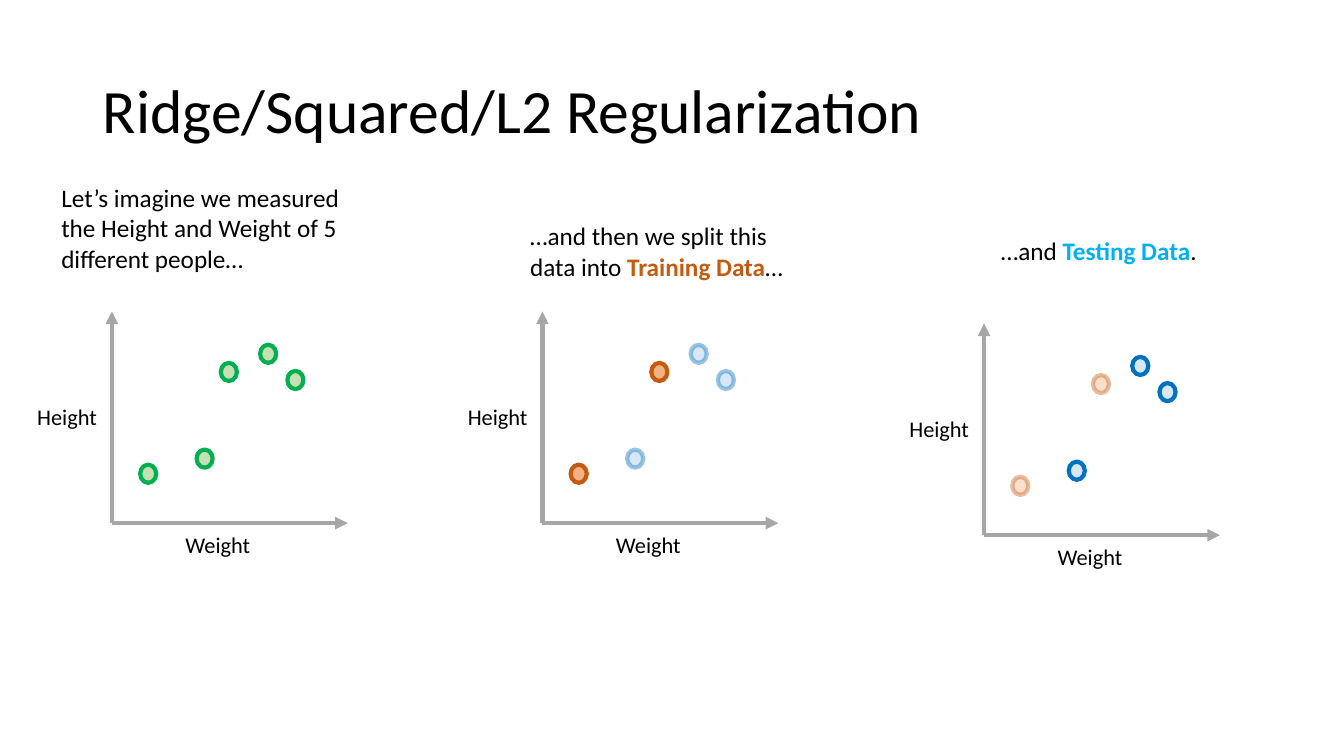
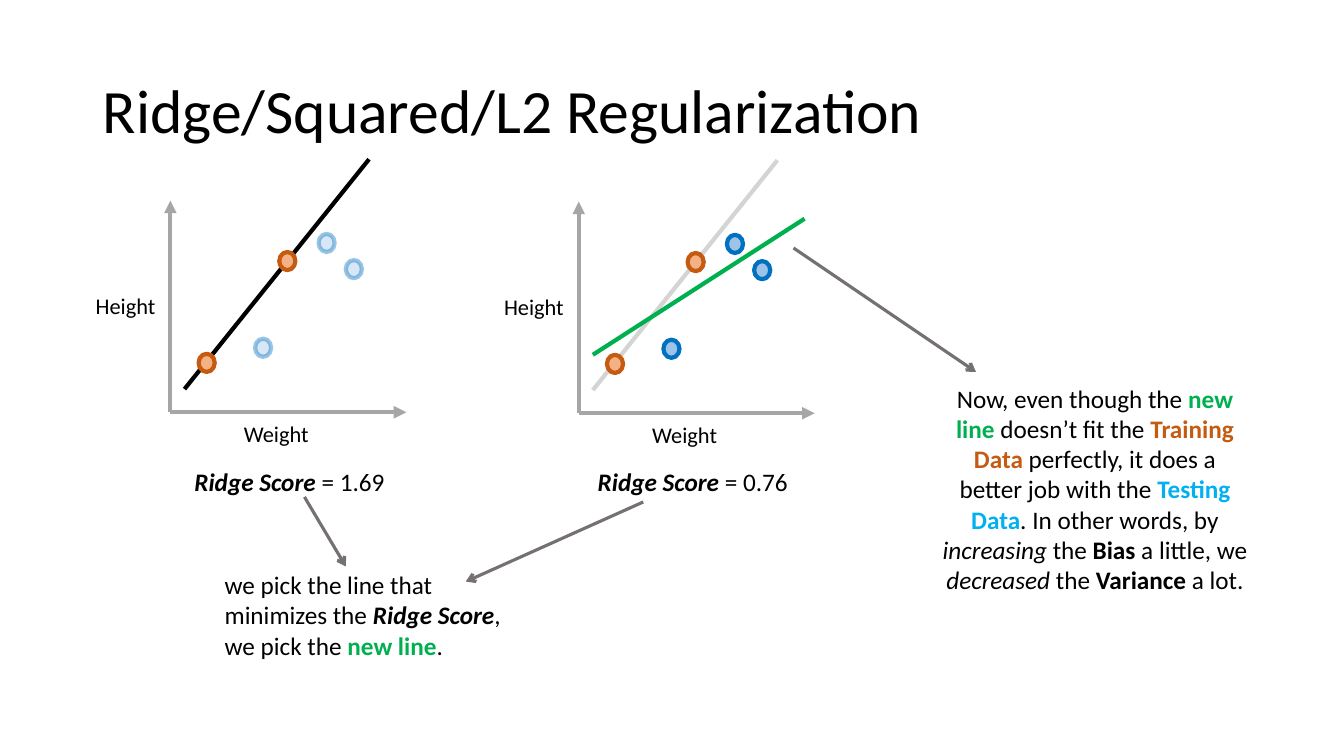
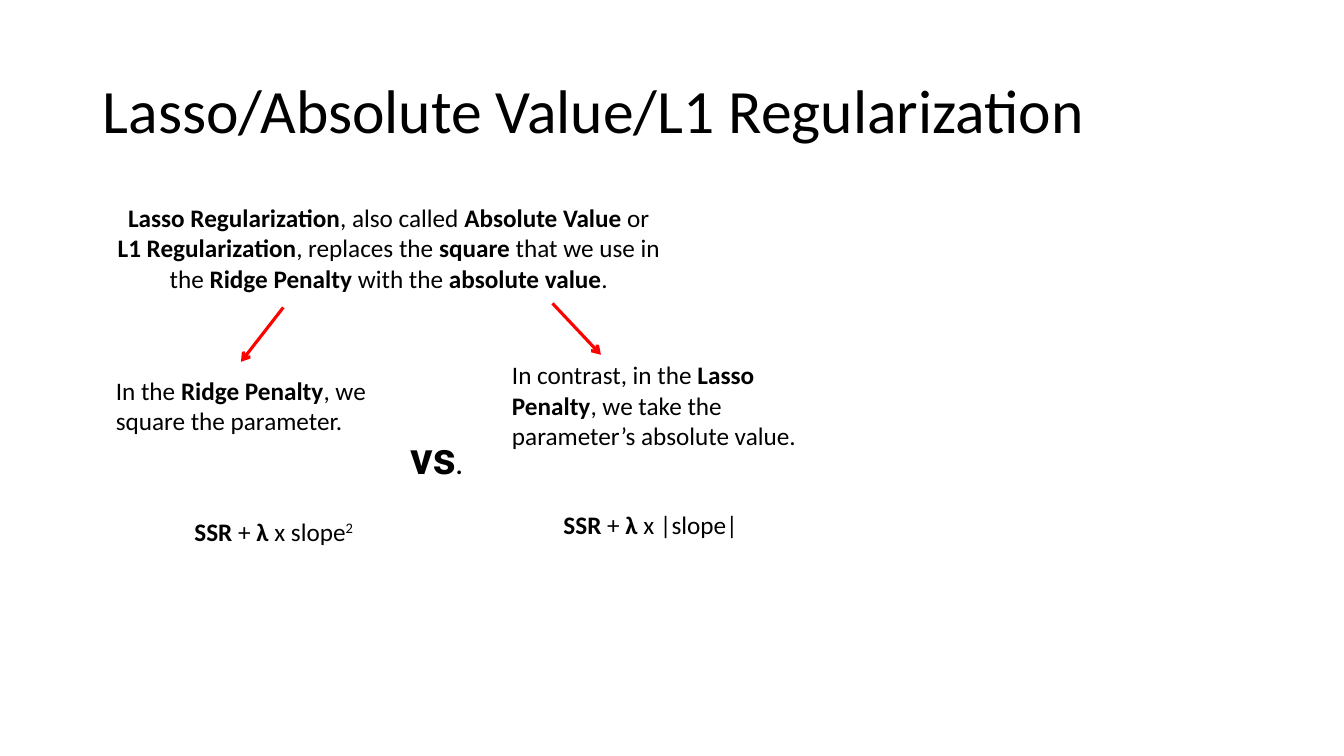
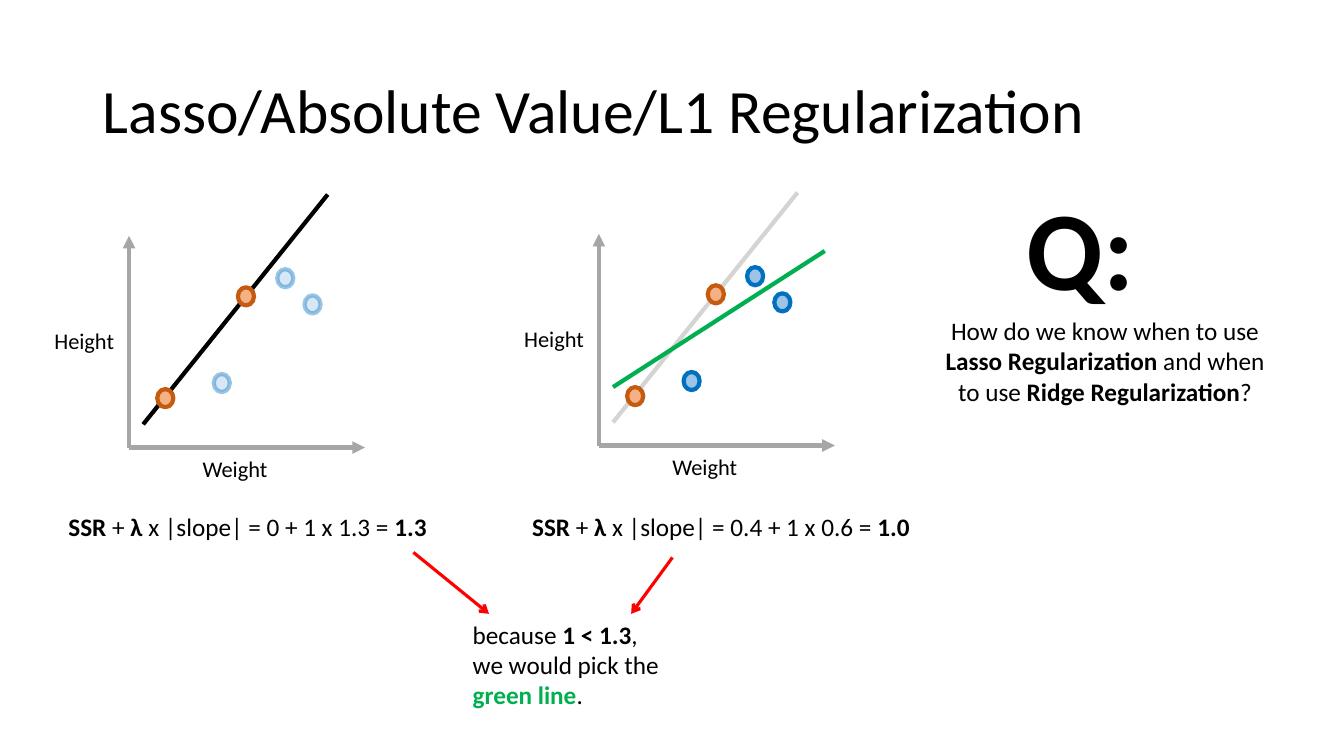
"""Build four slides on ridge and lasso regularization."""
from lxml.etree import SubElement
from pptx import Presentation
from pptx.dml.color import RGBColor
from pptx.enum.shapes import MSO_CONNECTOR, MSO_SHAPE
from pptx.enum.text import MSO_ANCHOR, MSO_AUTO_SIZE, PP_ALIGN
from pptx.oxml.ns import qn
from pptx.util import Pt

PX = 9144
FONT = "Calibri"
BLACK, AXIS, GREEN = "000000", "A6A6A6", "00B050"
ORANGE, BLUE, SKY = "C55A11", "0070C0", "00B0F0"
GREY, RED = "767171", "FF0000"
LEFT, CENTER = PP_ALIGN.LEFT, PP_ALIGN.CENTER

STYLES = {
    "b": {"bold": True},
    "i": {"italic": True},
    "bi": {"bold": True, "italic": True},
    "train": {"bold": True, "color": ORANGE},
    "test": {"bold": True, "color": SKY},
    "new": {"bold": True, "color": GREEN},
    "versus": {"bold": True, "size": 32, "name": "Roboto"},
    "sup": {"baseline": 30000},
}

# fill, fill opacity, outline, outline opacity
ALL_DOT = ("C5E0B4", 100, GREEN, 100)
TRAIN = ("F4B183", 100, ORANGE, 100)
TRAIN_FAINT = ("F4B183", 40, ORANGE, 40)
TEST = ("9DC3E6", 100, BLUE, 100)
TEST_PALE = ("9DC3E6", 40, BLUE, 100)
TEST_FAINT = ("9DC3E6", 40, BLUE, 40)

AXIS_UP, AXIS_RIGHT = 210, 234
DOT_W, DOT_H = 16, 18
TRAIN_DOTS = [(28, -58), (108, -159)]
TEST_DOTS = [(84, -73), (147, -177), (174, -151)]
AXIS_LABELS = [("Height", -89, -124, 89, 38), ("Weight", 54, 3, 102, 37)]
FIT_LINE = (14, -23, 197, -251)
NEW_LINE = (14, -58, 224, -193)
FIT = [(FIT_LINE, BLACK, 100)]
FIT_AND_NEW = [(FIT_LINE, BLACK, 17), (NEW_LINE, GREEN, 100)]

RIDGE = ("Ridge/Squared/L2 Regularization", 887)
LASSO = ("Lasso/Absolute Value/L1 Regularization", 1009)
PENALTY = [("SSR", "b"), " + ", ("λ ", "b")]

# plots: origin, training dots, testing dots, lines
# notes: box, alignment, size, runs
# arrows: colour, list of start and end points
SLIDES = [
    {
        "title": RIDGE,
        "plots": [
            (111, 519, ALL_DOT, ALL_DOT, []),
            (538, 519, TRAIN, TEST_FAINT, []),
            (976, 531, TRAIN_FAINT, TEST_PALE, []),
        ],
        "notes": [
            ((51, 176, 334, 101), LEFT, 18,
             ["Let’s imagine we measured the Height and Weight of 5 different people…"]),
            ((516, 214, 302, 71), LEFT, 18,
             ["…and then we split this data into ", ("Training Data", "train"), "…"]),
            ((983, 229, 234, 40), LEFT, 18,
             ["…and ", ("Testing Data", "test"), "."]),
        ],
        "arrows": (GREY, []),
    },
    {
        "title": RIDGE,
        "plots": [
            (574, 410, TRAIN, TEST, FIT_AND_NEW),
            (169, 409, TRAIN, TEST_FAINT, FIT),
        ],
        "notes": [
            ((183, 458, 220, 40), LEFT, 18, [("Ridge Score ", "bi"), "= 1.69"]),
            ((583, 458, 220, 40), LEFT, 18, [("Ridge Score ", "bi"), "= 0.76"]),
            ((213, 560, 306, 101), LEFT, 18,
             ["we pick the line that minimizes the ", ("Ridge Score", "bi"),
              ", we pick the ", ("new line", "new"), "."]),
            ((924, 375, 324, 222), CENTER, 18,
             ["Now, even though the ", ("new line ", "new"), "doesn’t fit the ",
              ("Training Data ", "train"), "perfectly, it does a better job with the ",
              ("Testing Data", "test"), ". In other words, by ", ("increasing", "i"),
              " the ", ("Bias", "b"), " a little, we ", ("decreased", "i"),
              " the ", ("Variance", "b"), " a lot."]),
        ],
        "arrows": (GREY, [(302, 493, 343, 562), (638, 498, 462, 577),
                          (787, 246, 968, 369)]),
    },
    {
        "title": LASSO,
        "plots": [],
        "notes": [
            ((105, 196, 561, 101), CENTER, 18,
             [("Lasso Regularization", "b"), ", also called ", ("Absolute Value ", "b"),
              "or ", ("L1 Regularization", "b"), ", replaces the ", ("square", "b"),
              " that we use in the ", ("Ridge Penalty ", "b"), "with the ",
              ("absolute value", "b"), "."]),
            ((105, 367, 332, 71), LEFT, 18,
             ["In the ", ("Ridge Penalty", "b"), ", we square the parameter."]),
            ((498, 352, 314, 101), LEFT, 18,
             ["In contrast, in the ", ("Lasso Penalty", "b"),
              ", we take the parameter’s absolute value."]),
            ((183, 507, 195, 40), LEFT, 18, PENALTY + ["x slope", ("2", "sup")]),
            ((549, 500, 195, 40), LEFT, 18, PENALTY + ["x |slope|"]),
            ((397, 421, 81, 64), LEFT, 18, [("vs", "versus"), (".", "b")]),
        ],
        "arrows": (RED, [(281, 305, 239, 359), (548, 301, 596, 352)]),
    },
    {
        "title": LASSO,
        "plots": [
            (128, 444, TRAIN, TEST_FAINT, FIT),
            (594, 442, TRAIN, TEST, FIT_AND_NEW),
        ],
        "notes": [
            ((58, 502, 387, 40), LEFT, 18,
             PENALTY + ["x |slope| = 0 + 1 x 1.3 = ", ("1.3", "b")]),
            ((518, 502, 401, 40), LEFT, 18,
             PENALTY + ["x |slope| = 0.4 + 1 x 0.6 = ", ("1.0", "b")]),
            ((459, 609, 208, 101), LEFT, 18,
             ["because ", ("1 < 1.3", "b"), ", we would pick the ",
              ("green line", "new"), "."]),
            ((919, 308, 354, 101), CENTER, 18,
             ["How do we know when to use ", ("Lasso Regularization", "b"),
              " and when to use ", ("Ridge Regularization", "b"), "?"]),
            ((1007, 172, 129, 145), CENTER, 80, [("Q:", "b")]),
        ],
        "arrows": (RED, [(667, 553, 626, 609), (410, 548, 485, 609)]),
    },
]


def rgb(color):
    """Turn a hex string into a colour."""
    return RGBColor.from_string(color)


def emu(*lengths):
    """Scale px lengths to EMU."""
    return [n * PX for n in lengths]


def fade(sp, where, opacity):
    """Set the opacity of a solid fill or outline."""
    if opacity < 100:
        for clr in sp._element.spPr.xpath(where + "a:solidFill/a:srgbClr"):
            SubElement(clr, qn("a:alpha")).set("val", str(opacity * 1000))


def add_line(shapes, ends, color, width=3, opacity=100, head=None):
    """Draw a straight line with an optional arrowhead at its end."""
    sp = shapes.add_connector(MSO_CONNECTOR.STRAIGHT, *emu(*ends))
    sp.line.color.rgb = rgb(color)
    sp.line.width = Pt(width)
    fade(sp, "a:ln/", opacity)
    spPr = sp._element.spPr
    if head:
        SubElement(spPr.find(qn("a:ln")), qn("a:tailEnd")).set("type", head)
    SubElement(spPr, qn("a:effectLst"))


def add_text(shapes, box, runs, size, align=LEFT):
    """Add a wrapped text box with one paragraph of styled runs."""
    sp = shapes.add_textbox(*emu(*box))
    tf = sp.text_frame
    tf.word_wrap = True
    tf.auto_size = MSO_AUTO_SIZE.SHAPE_TO_FIT_TEXT
    p = tf.paragraphs[0]
    p.alignment = align
    p.font.name, p.font.size = FONT, Pt(size)
    p.font.color.rgb = rgb(BLACK)
    for run in runs:
        text, name = (run, None) if isinstance(run, str) else run
        style = STYLES.get(name, {})
        r = p.add_run()
        r.text = text
        r.font.bold = style.get("bold")
        r.font.italic = style.get("italic")
        if "color" in style:
            r.font.color.rgb = rgb(style["color"])
        if "size" in style:
            r.font.size, r.font.name = Pt(style["size"]), style["name"]
        if "baseline" in style:
            r._r.get_or_add_rPr().set("baseline", str(style["baseline"]))
    return tf


def add_title(s, text, width):
    """Add the slide title."""
    tf = add_text(s.shapes, (92, 40, width, 145), [text], 44)
    tf.auto_size = MSO_AUTO_SIZE.NONE
    tf.vertical_anchor = MSO_ANCHOR.MIDDLE
    tf.paragraphs[0].line_spacing = 0.9


def add_dot(shapes, x, y, look):
    """Draw one data point."""
    fill, fill_opacity, line, line_opacity = look
    sp = shapes.add_shape(MSO_SHAPE.OVAL, *emu(x, y, DOT_W, DOT_H))
    sp.shadow.inherit = False
    sp.fill.solid()
    sp.fill.fore_color.rgb = rgb(fill)
    sp.line.color.rgb = rgb(line)
    sp.line.width = Pt(3)
    fade(sp, "", fill_opacity)
    fade(sp, "a:ln/", line_opacity)


def add_plot(s, x, y, train, test, lines):
    """Draw a grouped height and weight plot with its origin at x, y."""
    shapes = s.shapes.add_group_shape().shapes

    def draw_fit(line):
        (x1, y1, x2, y2), color, opacity = line
        add_line(shapes, (x + x1, y + y1, x + x2, y + y2), color, opacity=opacity)

    for line in lines[:1]:
        draw_fit(line)
    for end in ((x, y - AXIS_UP), (x + AXIS_RIGHT, y)):
        add_line(shapes, (x, y, *end), AXIS, head="triangle")
    for text, dx, dy, w, h in AXIS_LABELS:
        add_text(shapes, (x + dx, y + dy, w, h), [text], 16, CENTER)
    for dots, look in ((TRAIN_DOTS, train), (TEST_DOTS, test)):
        for dx, dy in dots:
            add_dot(shapes, x + dx, y + dy, look)
    for line in lines[1:]:
        draw_fit(line)


def main():
    """Build and save the presentation."""
    prs = Presentation()
    prs.slide_width, prs.slide_height = emu(1333, 750)
    for content in SLIDES:
        s = prs.slides.add_slide(prs.slide_layouts[6])
        add_title(s, *content["title"])
        for plot in content["plots"]:
            add_plot(s, *plot)
        for box, align, size, runs in content["notes"]:
            add_text(s.shapes, box, runs, size, align)
        color, arrows = content["arrows"]
        for ends in arrows:
            add_line(s.shapes, ends, color, 2.25, head="arrow")
    prs.save("out.pptx")


if __name__ == "__main__":
    main()
